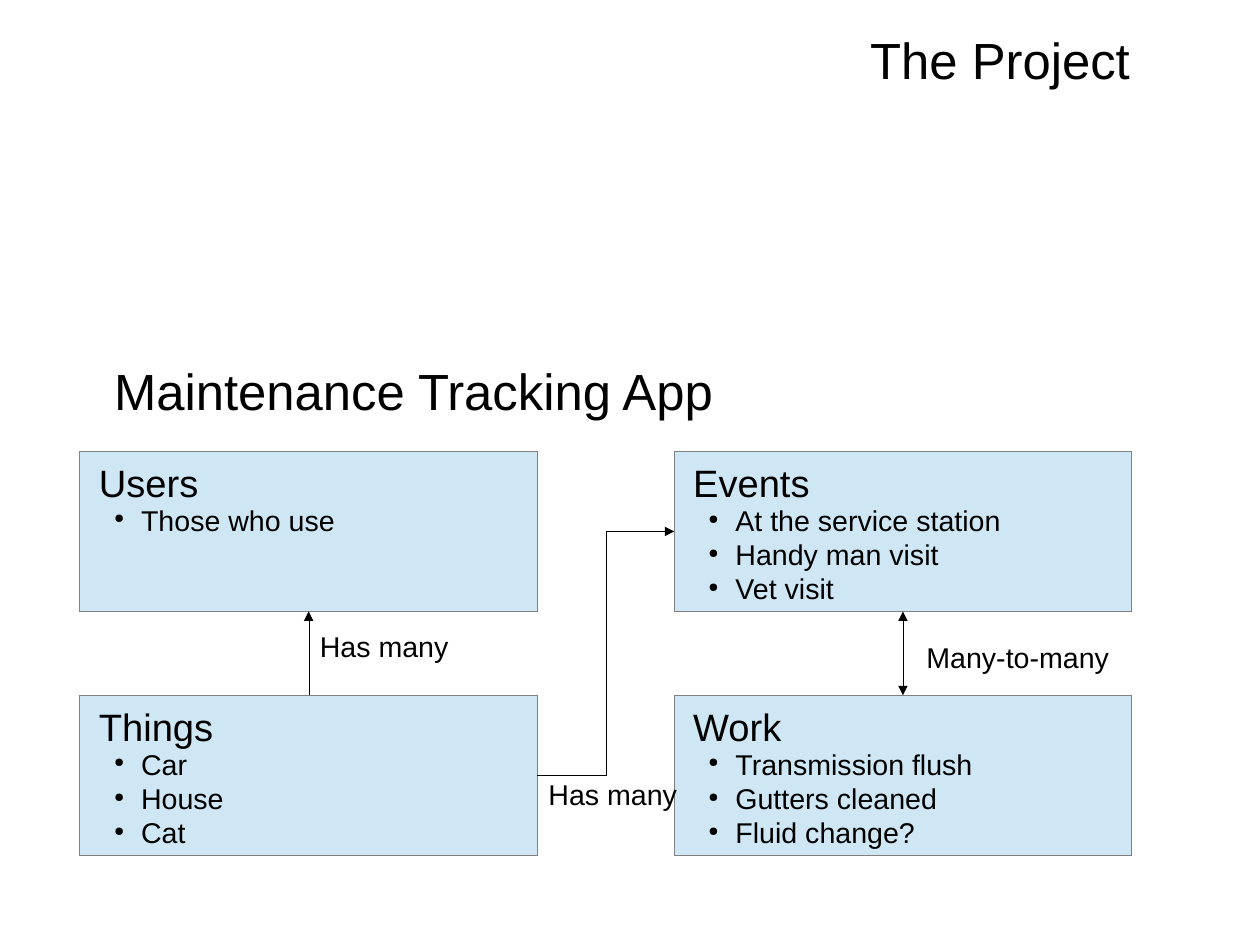
from dataclasses import dataclass

from lxml.etree import SubElement as sub
from pptx import Presentation
from pptx.dml.color import RGBColor as RGB
from pptx.enum.shapes import MSO_CONNECTOR as LINK, MSO_SHAPE as SHAPE
from pptx.enum.text import MSO_ANCHOR as ANCHOR, MSO_AUTO_SIZE as AUTO
from pptx.oxml.ns import qn
from pptx.util import Pt


@dataclass(frozen=True)
class Theme:
    font: str = "Arial"
    ink: str = "000000"
    fill: str = "CFE7F5"
    edge: str = "808080"
    title: float = 32
    head: float = 24
    body: float = 18


@dataclass(frozen=True)
class Card:
    name: str
    col: int
    row: int
    width: float
    items: tuple[str, ...]


@dataclass(frozen=True)
class Arrow:
    start: str
    end: str
    sites: tuple[int, int]
    kind: LINK = LINK.STRAIGHT
    both: bool = False


@dataclass(frozen=True)
class Label:
    text: str
    x: float
    y: float
    w: float
    h: float
    size: float


THEME = Theme()
WIDTH, HEIGHT = 793.7, 595.28
LEFT, TOP = 50.4, 284.4
CARD_W, CARD_H = 288, 100.8
STEP_X, STEP_Y = 374.4, 153.6
INDENT = 17
# Connection sites of a rectangle
UP, WEST, DOWN, EAST = range(4)

CARDS = (
    Card("Events", 1, 0, 88.56, ("At the service station", "Handy man visit", "Vet visit")),
    Card("Users", 0, 0, 78.48, ("Those who use",)),
    Card("Things", 0, 1, 90, ("Car", "House", "Cat")),
    Card("Work", 1, 1, 73.44, ("Transmission flush", "Gutters cleaned", "Fluid change?")),
)
ARROWS = (
    Arrow("Things", "Users", (UP, DOWN)),
    Arrow("Things", "Events", (EAST, WEST), LINK.ELBOW),
    Arrow("Work", "Events", (UP, DOWN), both=True),
)
LABELS = (
    Label("Has many", 194.4, 392.4, 97.92, 31.68, THEME.body),
    Label("Has many", 338.4, 485.7, 97.92, 31.68, THEME.body),
    Label("Many-to-many", 576.5, 399.3, 137.52, 31.68, THEME.body),
    Label("The Project", 541.1, 14.4, 182.88, 50.4, THEME.title),
    Label("Maintenance Tracking App", 64.8, 222.9, 413.28, 50.4, THEME.title),
)


def bullet(para) -> None:
    props = para._p.get_or_add_pPr()
    props.set("marL", str(Pt(INDENT)))
    props.set("indent", str(-Pt(INDENT)))
    tint = sub(props, qn("a:buClr"))
    sub(tint, qn("a:srgbClr"), val=THEME.ink)
    sub(props, qn("a:buSzPct"), val="45000")
    sub(props, qn("a:buChar"), char="●")


def write(slide, *lines: str, x: float, y: float, w: float, h: float,
          size: float, wrap: bool = False, dots: bool = False) -> None:
    box = slide.shapes.add_textbox(Pt(x), Pt(y), Pt(w), Pt(h))
    frame = box.text_frame
    frame.word_wrap = wrap
    frame.auto_size = AUTO.SHAPE_TO_FIT_TEXT
    frame.vertical_anchor = ANCHOR.TOP
    frame.text = "\n".join(lines)
    for para in frame.paragraphs:
        if dots:
            bullet(para)
        for run in para.runs:
            run.font.name = THEME.font
            run.font.size = Pt(size)
            run.font.color.rgb = RGB.from_string(THEME.ink)


def hairline(shape, color: str):
    """Give the shape a line of explicit zero width and return its XML."""
    shape.line.color.rgb = RGB.from_string(color)
    stroke = shape.element.spPr.find(qn("a:ln"))
    stroke.set("w", "0")
    return stroke


def draw_card(slide, card: Card):
    x = LEFT + card.col * STEP_X
    y = TOP + card.row * STEP_Y
    rect = slide.shapes.add_shape(SHAPE.RECTANGLE, Pt(x), Pt(y), Pt(CARD_W), Pt(CARD_H))
    rect.shadow.inherit = False
    rect.fill.solid()
    rect.fill.fore_color.rgb = RGB.from_string(THEME.fill)
    hairline(rect, THEME.edge)
    write(slide, card.name, x=x + 4.8, y=y + 1.4, w=card.width, h=39.6, size=THEME.head)
    write(slide, *card.items, x=x + 14.4, y=y + 28.8, w=230.4,
          h=7.2 + 24.5 * len(card.items), size=THEME.body, wrap=True, dots=True)
    return rect


def draw_arrow(slide, arrow: Arrow, rects: dict) -> None:
    line = slide.shapes.add_connector(arrow.kind, Pt(0), Pt(0), Pt(0), Pt(0))
    line.begin_connect(rects[arrow.start], arrow.sites[0])
    line.end_connect(rects[arrow.end], arrow.sites[1])
    stroke = hairline(line, THEME.ink)
    if arrow.both:
        sub(stroke, qn("a:headEnd"), type="triangle")
    sub(stroke, qn("a:tailEnd"), type="triangle")
    sub(line.element.spPr, qn("a:effectLst"))


def main() -> None:
    deck = Presentation()
    deck.slide_width, deck.slide_height = Pt(WIDTH), Pt(HEIGHT)
    slide = deck.slides.add_slide(deck.slide_layouts[6])

    # Entity cards
    rects = {card.name: draw_card(slide, card) for card in CARDS}

    # Relations between the cards
    for arrow in ARROWS:
        draw_arrow(slide, arrow, rects)

    # Relation names and titles
    for label in LABELS:
        write(slide, label.text, x=label.x, y=label.y, w=label.w, h=label.h,
              size=label.size)

    deck.save("out.pptx")


if __name__ == "__main__":
    main()
